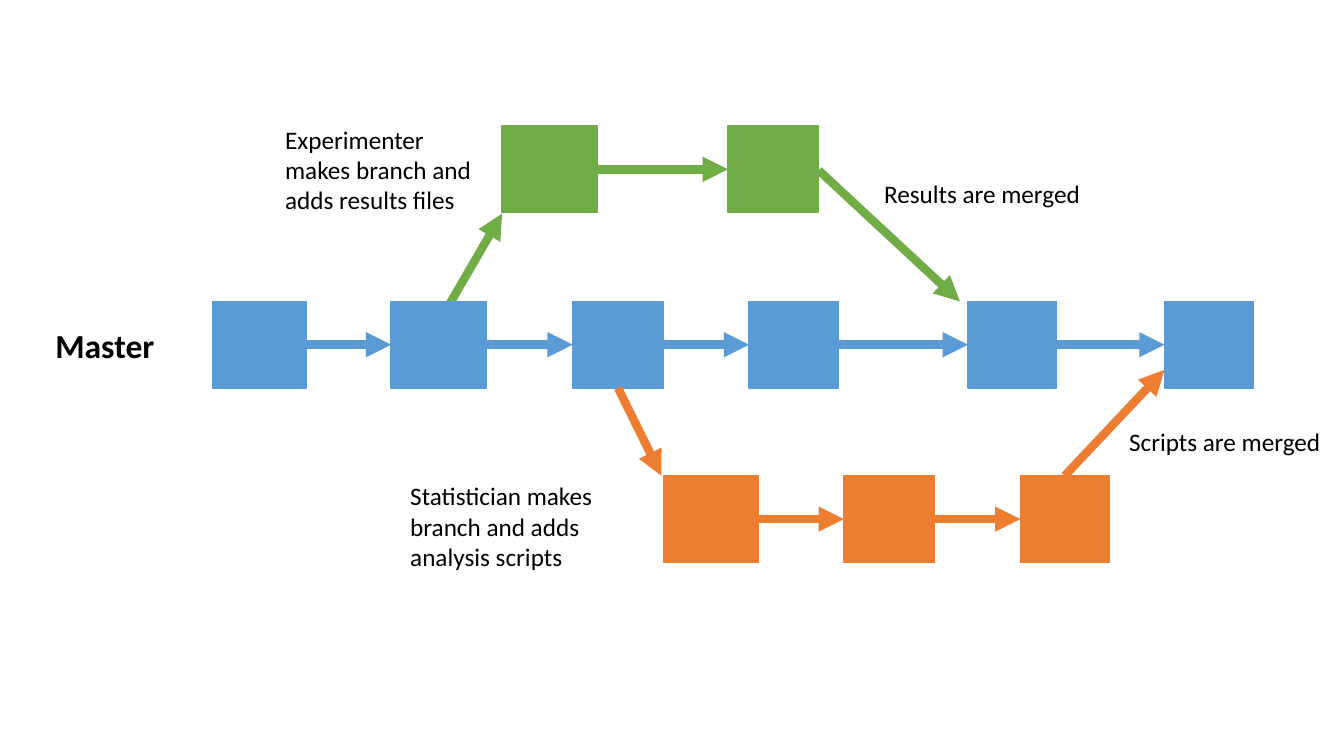
from dataclasses import dataclass
from itertools import pairwise

from lxml import etree
from pptx import Presentation
from pptx import util as u
from pptx.dml import color
from pptx.enum import shapes, text
from pptx.oxml import ns

EMU_PER_PX = 9144
BOX_H = 86
COLORS = {"master": "5B9BD5", "results": "70AD47", "scripts": "ED7D31", "text": "000000"}


@dataclass(frozen=True)
class Lane:
    color: str
    top: int
    boxes: tuple[tuple[int, int], ...]


@dataclass(frozen=True)
class Arrow:
    color: str
    start: tuple[int, int]
    end: tuple[int, int]


@dataclass(frozen=True)
class Label:
    words: str
    left: int
    top: int
    width: int
    height: int
    size: int = 18
    bold: bool = False
    wrap: bool = False


LANES = (
    Lane("master", 299, ((211, 93), (388, 94), (568, 90), (743, 88), (960, 88), (1155, 88))),
    Lane("results", 125, ((498, 94), (722, 90))),
    Lane("scripts", 472, ((658, 94), (837, 90), (1012, 88))),
)
RESULTS_BRANCH = Arrow("results", (437, 317), (498, 212))
LINKS = (
    Arrow("results", (812, 169), (952, 299)),
    Arrow("scripts", (613, 385), (656, 472)),
    Arrow("scripts", (1056, 472), (1155, 367)),
)
LABELS = (
    Label("Master", 45, 317, 120, 50, size=24, bold=True),
    Label("Experimenter makes branch and adds results files", 273, 118, 210, 101, wrap=True),
    Label("Statistician makes branch and adds analysis scripts", 397, 472, 235, 101, wrap=True),
    Label("Results are merged", 867, 172, 217, 40),
    Label("Scripts are merged", 1110, 418, 212, 40),
)


def px(n: int) -> u.Emu:
    return u.Emu(n * EMU_PER_PX)


def rgb(name: str) -> color.RGBColor:
    return color.RGBColor.from_string(COLORS[name])


def add_arrow(s, arrow: Arrow) -> None:
    c = s.shapes.add_connector(
        shapes.MSO_CONNECTOR.STRAIGHT, *map(px, arrow.start + arrow.end)
    )
    c.line.color.rgb = rgb(arrow.color)
    c.line.width = u.Pt(6)
    ln = c.line._get_or_add_ln()
    etree.SubElement(ln, ns.qn("a:tailEnd"), type="triangle")
    etree.SubElement(c._element.spPr, ns.qn("a:effectLst"))


def add_lane(s, lane: Lane) -> None:
    for left, width in lane.boxes:
        sp = s.shapes.add_shape(
            shapes.MSO_SHAPE.RECTANGLE, px(left), px(lane.top), px(width), px(BOX_H)
        )
        sp.shadow.inherit = False
        sp.fill.solid()
        sp.fill.fore_color.rgb = rgb(lane.color)
        sp.line.color.rgb = rgb(lane.color)
        sp.line.width = u.Pt(1)
    middle = lane.top + BOX_H // 2
    for (left, width), (next_left, _) in pairwise(lane.boxes):
        add_arrow(s, Arrow(lane.color, (left + width, middle), (next_left, middle)))


def add_label(s, label: Label) -> None:
    sp = s.shapes.add_textbox(
        px(label.left), px(label.top), px(label.width), px(label.height)
    )
    tf = sp.text_frame
    tf.word_wrap = label.wrap
    tf.auto_size = text.MSO_AUTO_SIZE.SHAPE_TO_FIT_TEXT
    r = tf.paragraphs[0].add_run()
    r.text = label.words
    r.font.name = "Calibri"
    r.font.size = u.Pt(label.size)
    r.font.bold = label.bold
    r.font.color.rgb = rgb("text")


def main() -> None:
    prs = Presentation()
    prs.slide_width, prs.slide_height = px(1333), px(750)
    s = prs.slides.add_slide(prs.slide_layouts[6])
    add_arrow(s, RESULTS_BRANCH)
    for lane in LANES:
        add_lane(s, lane)
    for link in LINKS:
        add_arrow(s, link)
    for label in LABELS:
        add_label(s, label)
    prs.save("out.pptx")


if __name__ == "__main__":
    main()
